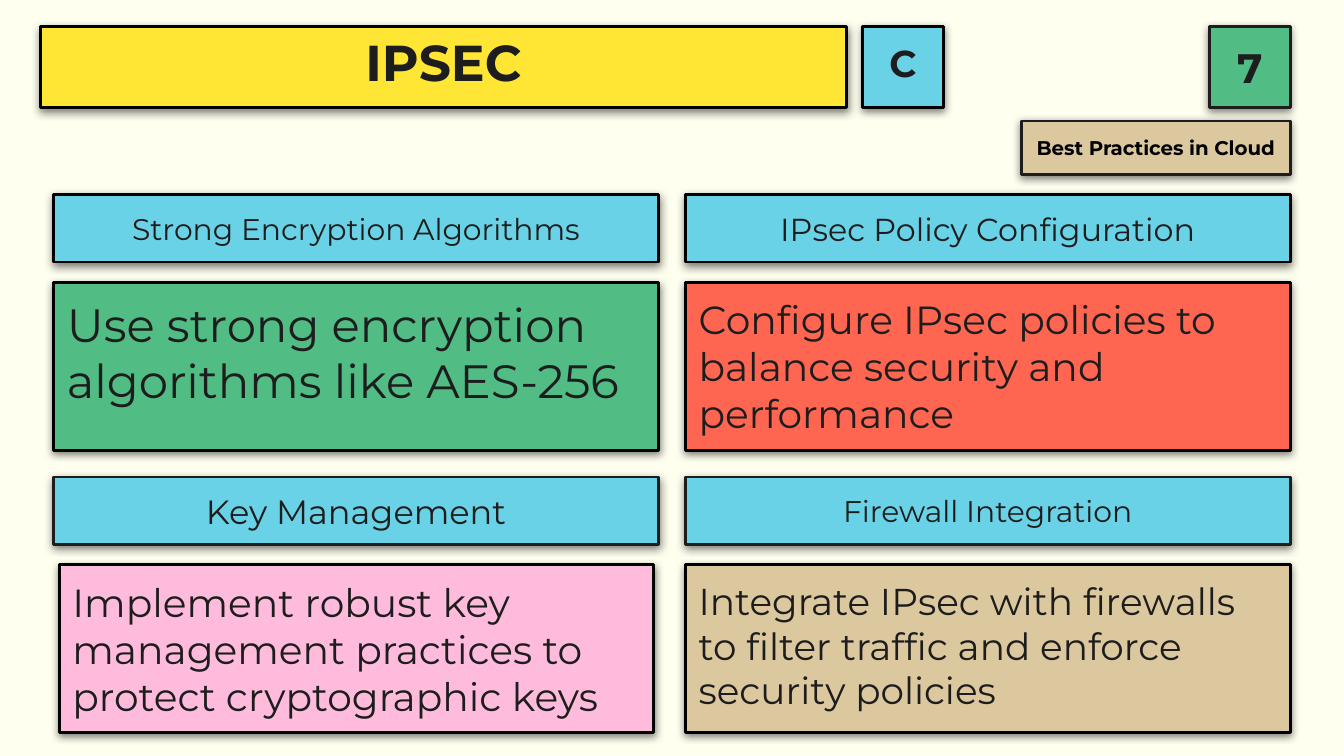
from lxml.etree import SubElement
from pptx import Presentation
from pptx.dml.color import RGBColor
from pptx.enum.shapes import MSO_SHAPE
from pptx.enum.text import MSO_ANCHOR, PP_ALIGN
from pptx.oxml.ns import qn
from pptx.util import Inches, Pt

FONT = "Montserrat"
COLORS = {
    "background": "FFFFF0",
    "ink": "1D1D1D",
    "black": "000000",
    "yellow": "FFE534",
    "blue": "6AD2E6",
    "green": "51BD85",
    "red": "FF6652",
    "pink": "FFBBDC",
    "tan": "DBC89F",
}


def color(name):
    return RGBColor.from_string(COLORS[name])


def add_shadow(shape):
    """Give the shape a soft black shadow that falls straight down."""
    shape.shadow.inherit = False
    effects = shape._element.spPr.find(qn("a:effectLst"))
    shadow = SubElement(effects, qn("a:outerShdw"), blurRad=str(Pt(4.5)),
                        dist=str(Pt(1.5)), dir="5400000", algn="bl", rotWithShape="0")
    black = SubElement(shadow, qn("a:srgbClr"), val=COLORS["black"])
    SubElement(black, qn("a:alpha"), val="50000")


def write_text(shape, text, size, bold=False, font_color="ink",
               align=PP_ALIGN.CENTER, anchor=MSO_ANCHOR.MIDDLE, line_spacing=None):
    frame = shape.text_frame
    frame.word_wrap = True
    frame.vertical_anchor = anchor
    frame.margin_left = frame.margin_right = Inches(0.1)
    frame.margin_top = frame.margin_bottom = Inches(0.1)
    paragraph = frame.paragraphs[0]
    paragraph.alignment = align
    paragraph.line_spacing = line_spacing
    run = paragraph.add_run()
    run.text = text
    run.font.name = FONT
    run.font.size = Pt(size)
    run.font.bold = bold
    run.font.color.rgb = color(font_color)


def add_box(slide, left, top, width, height, text, size, fill, line="black", **text_format):
    """Draw an outlined, shadowed box with text."""
    shape = slide.shapes.add_shape(MSO_SHAPE.RECTANGLE, Inches(left), Inches(top),
                                   Inches(width), Inches(height))
    shape.fill.solid()
    shape.fill.fore_color.rgb = color(fill)
    shape.line.color.rgb = color(line)
    shape.line.width = Pt(1.5)
    add_shadow(shape)
    write_text(shape, text, size, **text_format)


def add_header(slide, left, top, width):
    side = 0.6
    title_width = 6
    right = left + width
    add_box(slide, left, top, title_width, side, "IPSEC", 27, "yellow",
            bold=True, line_spacing=0.8)
    add_box(slide, left + title_width + 0.12, top, side, side, "C", 20, "blue",
            bold=True, line_spacing=0.8)
    add_box(slide, right - side, top, side, side, "7", 22, "green", line="ink", bold=True)
    add_box(slide, right - 2, top + 0.7, 2, 0.4, "Best Practices in Cloud", 10.6, "tan",
            line="ink", bold=True, font_color="black")


def add_practice(slide, left, top, width, heading, heading_size, heading_line,
                 text, text_size, fill, inset=0):
    """Place a heading bar above its text card; inset narrows the card on both sides."""
    add_box(slide, left, top, width, 0.5, heading, heading_size, "blue", line=heading_line)
    add_box(slide, left + inset, top + 0.65, width - 2 * inset, 1.25, text, text_size, fill,
            align=PP_ALIGN.LEFT, anchor=MSO_ANCHOR.TOP)


def add_practice_grid(slide, left, top, width):
    gap = 0.2
    column_width = (width - gap) / 2
    practices = [
        ("Strong Encryption Algorithms", 16, "black",
         "Use strong encryption algorithms like AES-256", 25, "green"),
        ("IPsec Policy Configuration", 17, "black",
         "Configure IPsec policies to balance security and performance", 21, "red"),
        ("Key Management", 18, "ink",
         "Implement robust key management practices to protect cryptographic keys",
         21, "pink", 0.04),
        ("Firewall Integration", 16, "ink",
         "Integrate IPsec with firewalls to filter traffic and enforce security policies",
         20, "tan"),
    ]
    for index, practice in enumerate(practices):
        row, column = divmod(index, 2)
        add_practice(slide, left + column * (column_width + gap), top + row * 2.1,
                     column_width, *practice)


def main():
    presentation = Presentation()
    presentation.slide_width = Inches(10)
    presentation.slide_height = presentation.slide_width * 9 // 16
    slide = presentation.slides.add_slide(presentation.slide_layouts[6])
    slide.background.fill.solid()
    slide.background.fill.fore_color.rgb = color("background")
    add_header(slide, left=0.3, top=0.2, width=9.3)
    add_practice_grid(slide, left=0.4, top=1.45, width=9.2)
    presentation.save("out.pptx")


if __name__ == "__main__":
    main()
